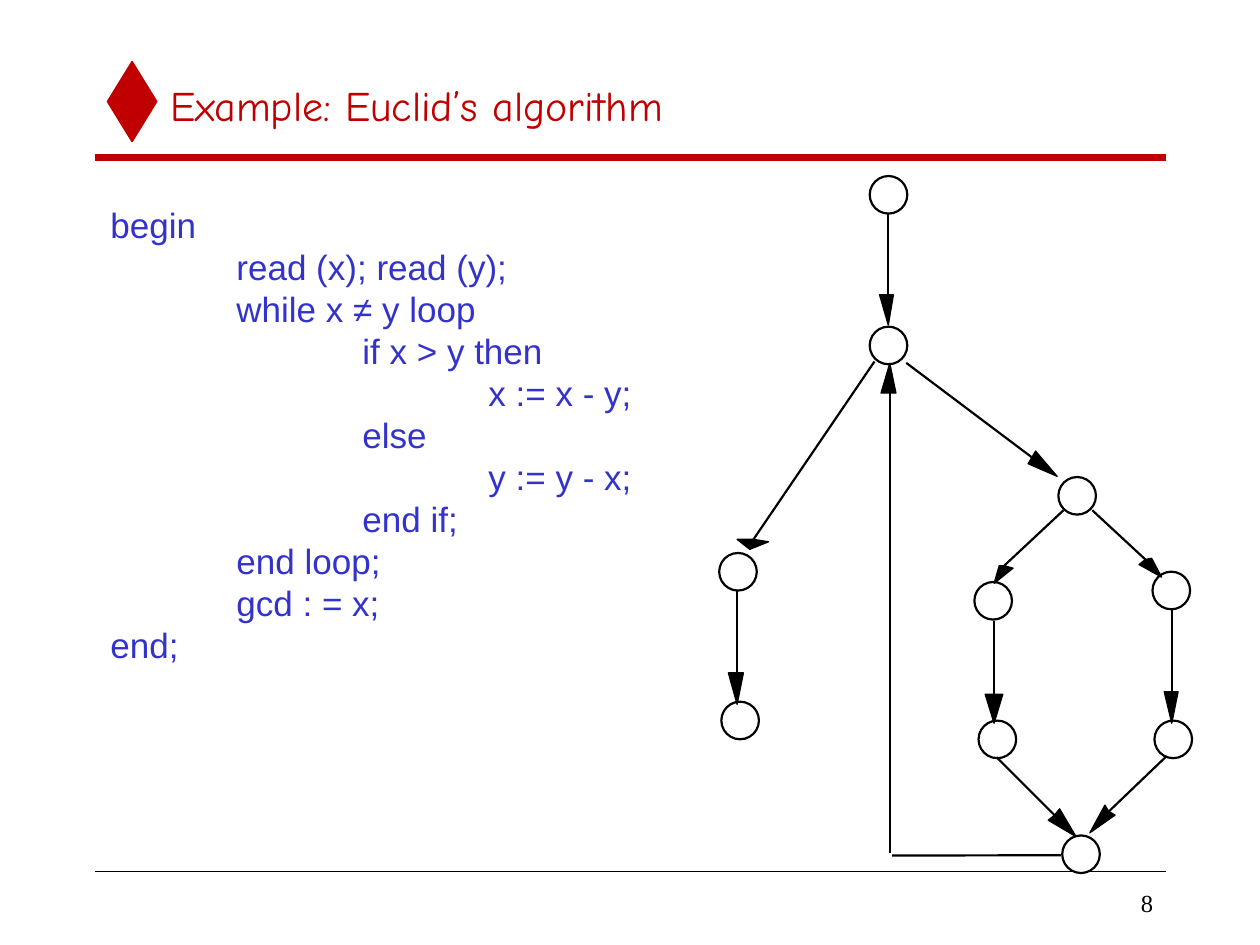
"""Build a slide that shows Euclid's algorithm beside its flow graph."""
from pptx import Presentation
from pptx.dml.color import RGBColor
from pptx.enum.shapes import MSO_CONNECTOR as Link, MSO_SHAPE as Kind
from pptx.enum.text import MSO_ANCHOR as Anchor, PP_ALIGN as Align
from pptx.oxml.ns import qn
from pptx.util import Pt
from lxml.etree import SubElement

RED = RGBColor(0xC0, 0x00, 0x00)
BLUE = RGBColor(0x33, 0x33, 0xCC)
BLACK = RGBColor(0x00, 0x00, 0x00)
WHITE = RGBColor(0xFF, 0xFF, 0xFF)

TITLE = "Example: Euclid’s algorithm"
NUMBER = "8"
CODE = [
    (0, "begin"),
    (1, "read (x); read (y);"),
    (1, "while x ≠ y loop"),
    (2, "if x > y then"),
    (3, "x := x - y;"),
    (2, "else"),
    (3, "y := y - x;"),
    (2, "end if;"),
    (1, "end loop;"),
    (1, "gcd : = x;"),
    (0, "end;"),
]
INDENT = 72

SIZE = 21.5
NODES = [
    (497, 100.6), (497, 186.7), (604.8, 272.6),
    (658.6, 326.7), (556.8, 332.6), (659.7, 411.8), (559.2, 411.8),
    (411, 316), (412.2, 401), (607, 477.4),
]

EDGES = [
    ((507.6, 121.7), (507.6, 168.5), (507.6, 185.8), (502.6, 168.5), (510.5, 168.5)),
    ((517.9, 207.4), (589.7, 261.4), (604.1, 272.2), (587.5, 265), (591.8, 257.8)),
    ((669.6, 348.5), (669.6, 395.3), (669.6, 413.3), (665.3, 395.3), (673.2, 395.3)),
    ((568.1, 355), (568.1, 396.7), (568.1, 413.3), (563, 396.7), (573.1, 396.7)),
    ((607.7, 291.6), (573.8, 323.3), (568.1, 333.4), (571, 323.3), (578.9, 324.7)),
    ((624.2, 291.6), (654.5, 319.7), (663.8, 329.8), (650.9, 322.6), (658.1, 319)),
    ((499.7, 206.6), (430.6, 308.2), (428.4, 313.9), (421.2, 308.2), (439.2, 309.6)),
    ((421.2, 337.7), (421.2, 384.5), (421.2, 402.5), (416.2, 384.5), (424.8, 384.5)),
    ((666, 432.7), (633.6, 463.7), (622.8, 475.9), (631.4, 460.1), (637.2, 465.8)),
    ((569.5, 432.7), (602.6, 465.8), (614.9, 478.1), (599, 468.7), (605.5, 462.2)),
    ((508.5, 487.4), (508.5, 224.6), (508.5, 207.6), (512, 224.6), (503.5, 224.6)),
]
RETURN = ((606.2, 488.7), (509.8, 488.9))


def paint(shape, fill, color, width):
    shape.shadow.inherit = False
    shape.fill.solid()
    shape.fill.fore_color.rgb = fill
    shape.line.color.rgb = color
    shape.line.width = Pt(width)


def add_line(shapes, start, end, color=BLACK, width=1.25):
    line = shapes.add_connector(Link.STRAIGHT, *map(Pt, start + end))
    line.line.color.rgb = color
    line.line.width = Pt(width)
    SubElement(line._element.spPr, qn("a:effectLst"))


def add_head(shapes, neck, tip, left, right):
    pen = shapes.build_freeform(*map(Pt, tip))
    points = [tuple(map(Pt, point)) for point in (left, neck, right)]
    pen.add_line_segments(points, close=True)
    paint(pen.convert_to_shape(), BLACK, BLACK, 0.75)


def add_text(shapes, box, lines, font, size, color,
             align=Align.LEFT, anchor=Anchor.MIDDLE):
    frame = shapes.add_textbox(*map(Pt, box)).text_frame
    frame.word_wrap = True
    frame.vertical_anchor = anchor
    for i, (level, text) in enumerate(lines):
        para = frame.add_paragraph() if i else frame.paragraphs[0]
        para.alignment = align
        props = para._p.get_or_add_pPr()
        props.set("marL", str(Pt(level * INDENT)))
        props.set("indent", "0")
        run = para.add_run()
        run.text = text
        run.font.name = font
        run.font.size = Pt(size)
        run.font.color.rgb = color


def main():
    deck = Presentation()
    deck.slide_width, deck.slide_height = Pt(720), Pt(540)
    shapes = deck.slides.add_slide(deck.slide_layouts[6]).shapes

    mark = shapes.add_shape(Kind.DIAMOND, Pt(61.5), Pt(35.3), Pt(28), Pt(45.5))
    paint(mark, RED, RED, 1)
    add_line(shapes, (54, 90), (666, 90), RED, 4)
    add_line(shapes, (54, 498), (666, 498), BLACK, 1)

    add_text(shapes, (564, 504, 102, 24), [(0, NUMBER)],
             "Times New Roman", 14, BLACK, align=Align.RIGHT)
    add_text(shapes, (90.2, 36, 576, 48), [(0, TITLE)],
             "Comic Neue", 24, RED)
    add_text(shapes, (56, 112.5, 317.5, 295), CODE,
             "Arial", 20, BLUE, anchor=Anchor.TOP)

    for spot in NODES:
        node = shapes.add_shape(Kind.OVAL, *map(Pt, spot + (SIZE, SIZE)))
        paint(node, WHITE, BLACK, 1.25)
    for start, neck, *barbs in EDGES:
        add_head(shapes, neck, *barbs)
        add_line(shapes, start, neck)
    add_line(shapes, *RETURN)

    deck.save("out.pptx")


if __name__ == "__main__":
    main()
